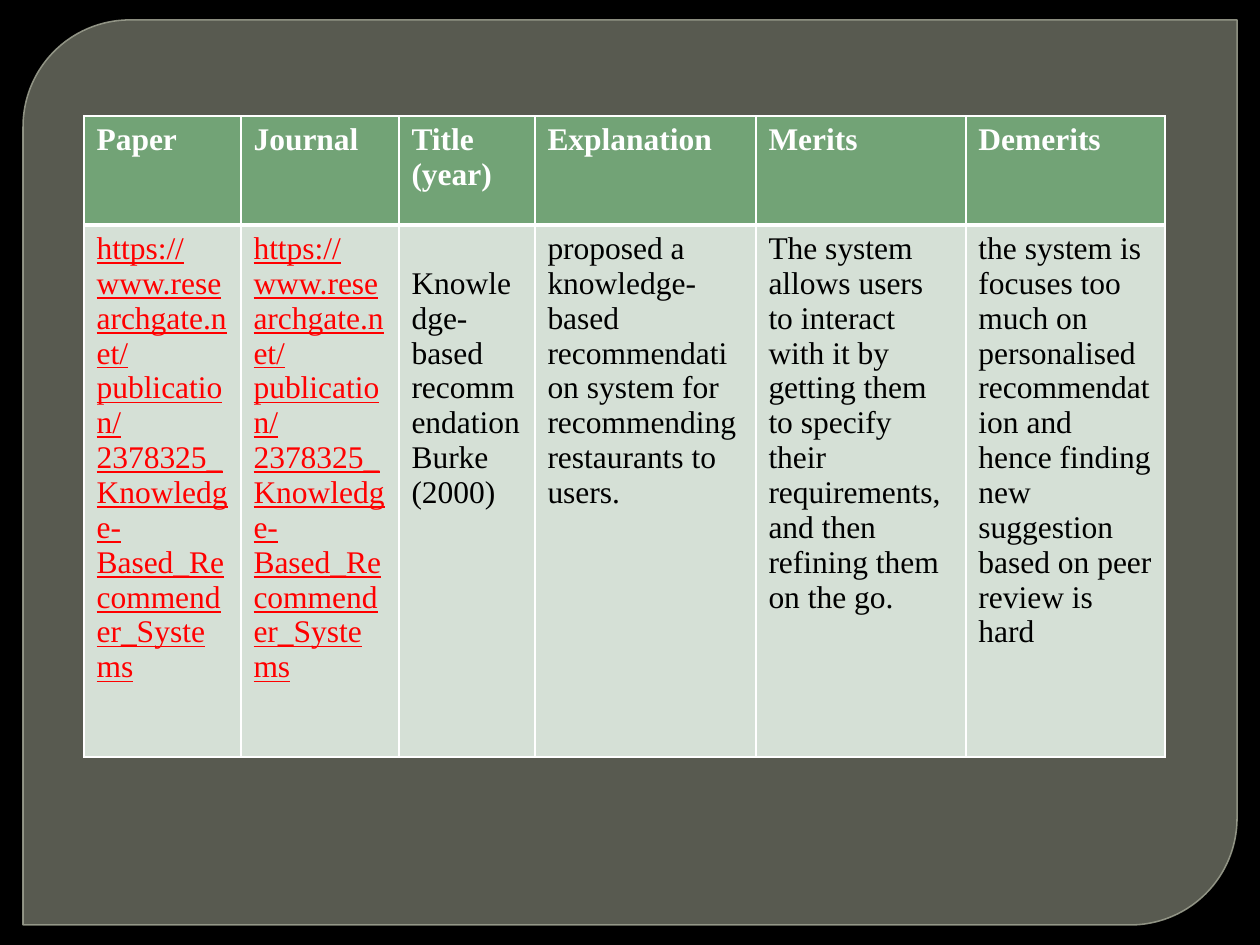
from lxml.etree import SubElement
from pptx import Presentation
from pptx.dml.color import RGBColor
from pptx.enum.shapes import MSO_SHAPE
from pptx.oxml.ns import qn
from pptx.util import Emu, Pt

BLACK = RGBColor(0x00, 0x00, 0x00)
WHITE = RGBColor(0xFF, 0xFF, 0xFF)
RED = RGBColor(0xFF, 0x00, 0x00)
PANEL = RGBColor(0x88, 0x8B, 0x7B)
PANEL_LINE = RGBColor(0x9D, 0xA0, 0x90)
GREEN = RGBColor(0x72, 0xA3, 0x76)
PALE_GREEN = RGBColor(0xD5, 0xE0, 0xD6)
FONT = "Times New Roman"
LINK = "https://www.researchgate.net/publication/2378325_Knowledge-Based_Recommender_Systems"
ROWS = [
    ["Paper", "Journal", "Title (year)", "Explanation", "Merits", "Demerits"],
    [
        LINK,
        LINK,
        " Knowledge-based recommendation Burke (2000)",
        "proposed a knowledge-based recommendation system for recommending restaurants to users.",
        "The system allows users to interact with it by getting them to specify their "
        "requirements, and then refining them on the go.",
        "the system is focuses too much on personalised recommendation and hence finding "
        "new suggestion based on peer review is hard",
    ],
]
COL_WIDTHS = [157, 158, 136, 221, 210, 199]
ROW_HEIGHTS = [109, 532]


def px(n):
    return Emu(round(n * 914400 / 126))


def set_border(cell, side, width):
    ln = SubElement(cell._tc.get_or_add_tcPr(), qn(f"a:ln{side}"), w=str(Pt(width)))
    fill = SubElement(ln, qn("a:solidFill"))
    SubElement(fill, qn("a:srgbClr"), val=str(WHITE))


prs = Presentation()
prs.slide_width, prs.slide_height = px(1260), px(945)
s = prs.slides.add_slide(prs.slide_layouts[6])
s.background.fill.solid()
s.background.fill.fore_color.rgb = BLACK

sp = s.shapes.add_shape(MSO_SHAPE.ROUND_2_DIAG_RECTANGLE, px(23), px(20), px(1214), px(905))
sp.shadow.inherit = False
sp.adjustments[0] = 0.118
sp.adjustments[1] = 0
sp.fill.solid()
sp.fill.fore_color.rgb = PANEL
sp.line.color.rgb = PANEL_LINE
sp.line.width = Pt(0.87)
for part, alpha in ((sp.fill, 65000), (sp.line.fill, 88000)):
    color = part._xPr.find(qn("a:solidFill"))[0]
    SubElement(color, qn("a:alpha"), val=str(alpha))

table = s.shapes.add_table(
    len(ROWS), len(COL_WIDTHS), px(84), px(116), px(sum(COL_WIDTHS)), px(sum(ROW_HEIGHTS))
).table
for col, width in zip(table.columns, COL_WIDTHS):
    col.width = px(width)
for row, height in zip(table.rows, ROW_HEIGHTS):
    row.height = px(height)

for i, texts in enumerate(ROWS):
    header = i == 0
    for j, text in enumerate(texts):
        cell = table.cell(i, j)
        for side in "LRTB":
            thick = side == ("B" if header else "T")
            set_border(cell, side, 3 if thick else 1)
        cell.fill.solid()
        cell.fill.fore_color.rgb = GREEN if header else PALE_GREEN
        p = cell.text_frame.paragraphs[0]
        p.text = text
        r = p.runs[0]
        r.font.name = FONT
        r.font.size = Pt(18)
        r.font.bold = header
        r.font.underline = text == LINK
        r.font.color.rgb = WHITE if header else RED if text == LINK else BLACK

prs.save("out.pptx")
